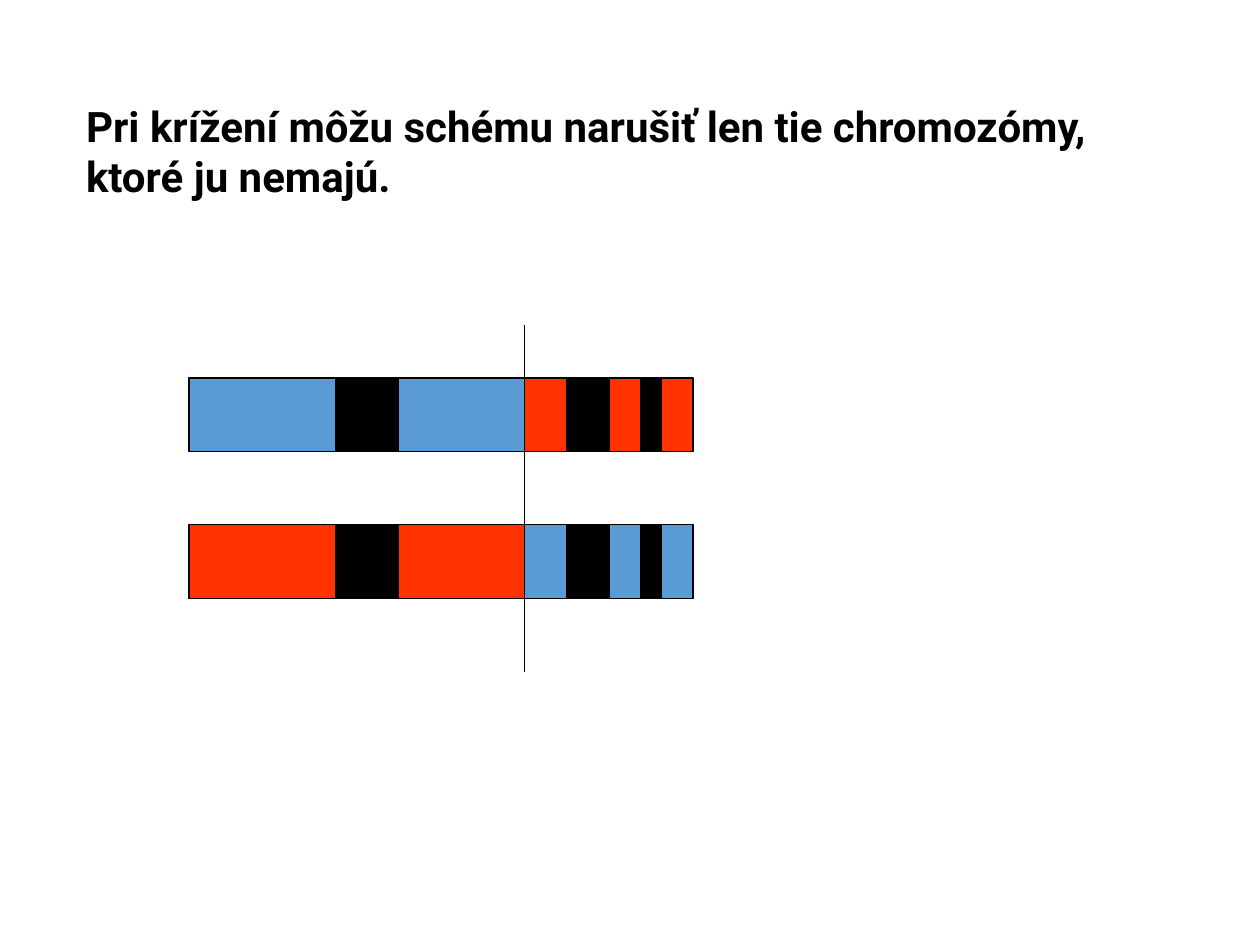
from lxml.etree import SubElement
from pptx import Presentation
from pptx.dml.color import RGBColor
from pptx.enum.shapes import MSO_CONNECTOR, MSO_SHAPE
from pptx.enum.text import MSO_ANCHOR, PP_ALIGN
from pptx.oxml.ns import qn
from pptx.util import Cm, Pt

BLACK, BLUE, RED = "000000", "5B9BD5", "FF3300"
GENE_HEIGHT = 1.48
CROSSOVER = 10.58


def color(hex_string):
    return RGBColor.from_string(hex_string)


def add_block(group, left, top, width, fill):
    shape = group.shapes.add_shape(
        MSO_SHAPE.RECTANGLE, Cm(left), Cm(top), Cm(width), Cm(GENE_HEIGHT))
    shape.shadow.inherit = False
    shape.fill.solid()
    shape.fill.fore_color.rgb = color(fill)
    shape.line.color.rgb = color(BLACK)
    shape.line.width = Pt(0.75)


presentation = Presentation()
presentation.slide_width, presentation.slide_height = Cm(25.4), Cm(19.05)
slide = presentation.slides.add_slide(presentation.slide_layouts[5])

# Title
title = slide.shapes.title
title.left, title.top, title.width, title.height = Cm(1.48), Cm(1.9), Cm(21.8), Cm(2.29)
title.text_frame.text = "Pri krížení môžu schému narušiť len tie chromozómy, ktoré ju nemajú."
title.text_frame.vertical_anchor = MSO_ANCHOR.TOP
paragraph = title.text_frame.paragraphs[0]
paragraph.alignment = PP_ALIGN.LEFT
paragraph.font.name = "Roboto"
paragraph.font.size = Pt(24)
paragraph.font.bold = True
paragraph.font.color.rgb = color(BLACK)

# Chromosome parts: left, width and the (left, width) of the fixed genes
head = (3.81, 6.77, [(6.77, 1.27)])
tail = (CROSSOVER, 3.39, [(11.43, 0.85), (12.91, 0.42)])

# Two chromosomes with swapped tails
for top, head_color, tail_color in [(7.62, BLUE, RED), (10.58, RED, BLUE)]:
    for (left, width, genes), fill in [(head, head_color), (tail, tail_color)]:
        group = slide.shapes.add_group_shape()
        add_block(group, left, top, width, fill)
        for gene_left, gene_width in genes:
            add_block(group, gene_left, top, gene_width, BLACK)

# Crossover line
crossover_line = slide.shapes.add_connector(
    MSO_CONNECTOR.STRAIGHT, Cm(CROSSOVER), Cm(6.56), Cm(CROSSOVER), Cm(13.55))
crossover_line.line.color.rgb = color(BLACK)
crossover_line.line.width = Pt(0.75)
SubElement(crossover_line._element.spPr, qn("a:effectLst"))

presentation.save("out.pptx")
